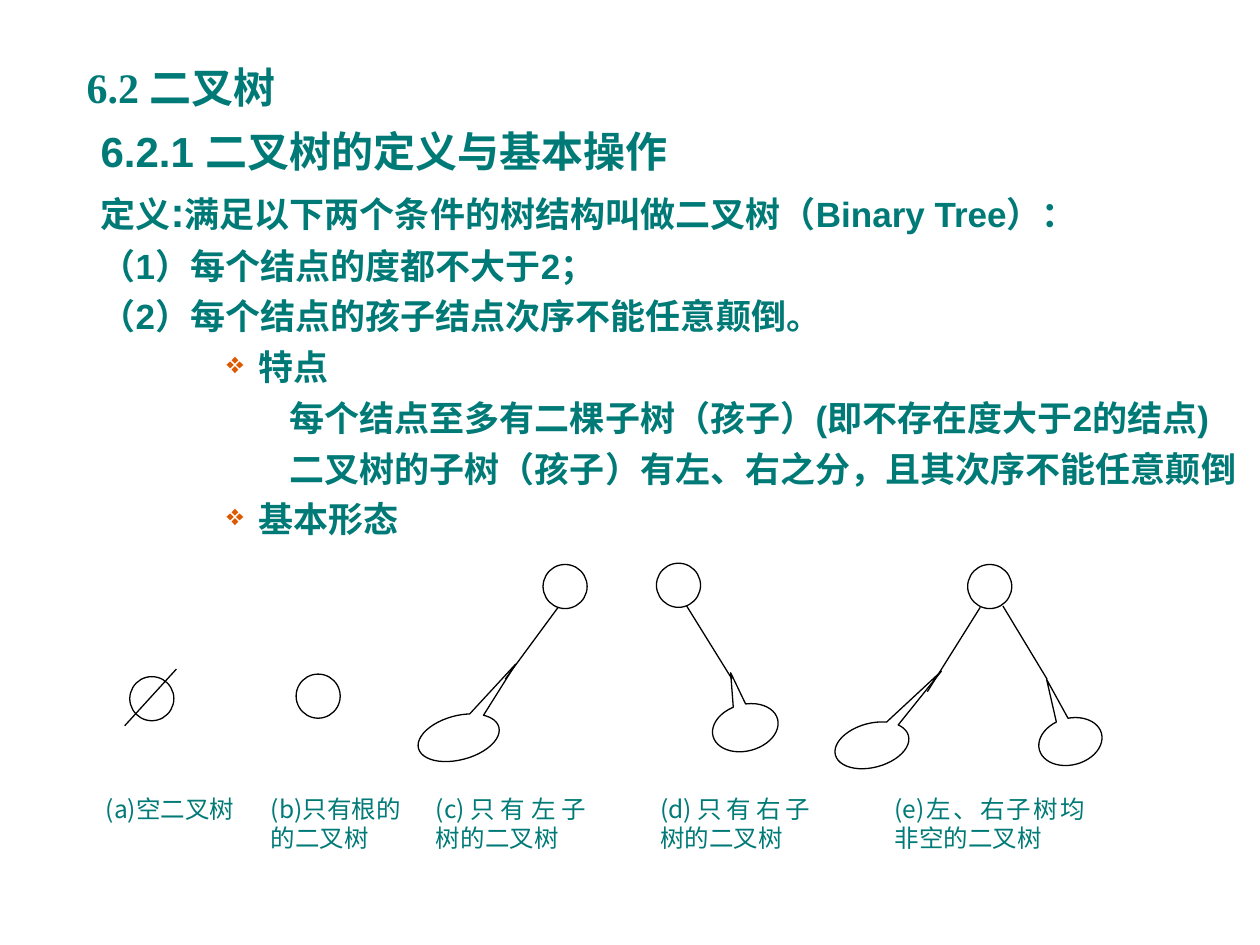
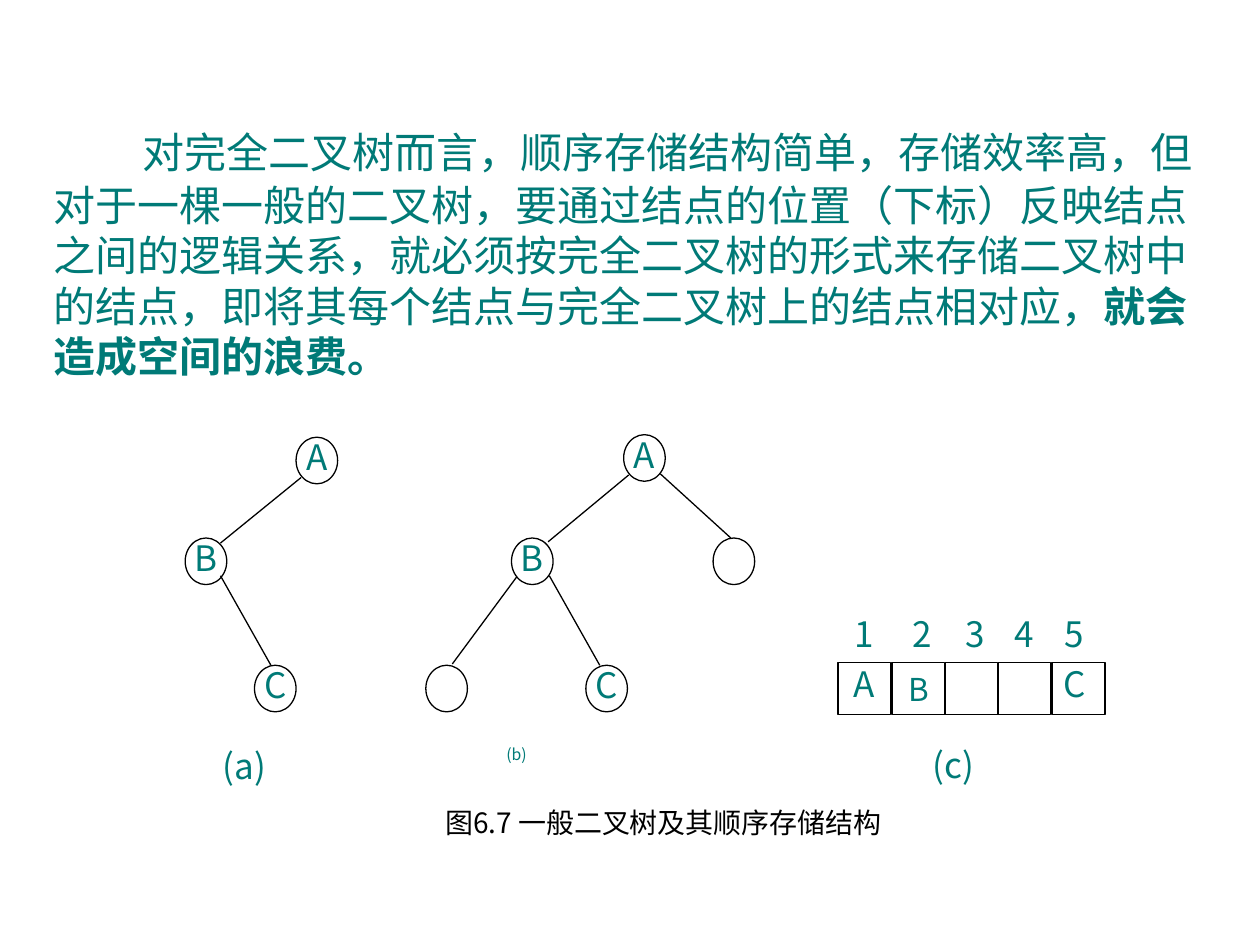
from lxml import etree
from pptx import Presentation
from pptx import util as u
from pptx.dml.color import RGBColor
from pptx.enum import shapes, text
from pptx.oxml.ns import qn

SCALE = 9144
HEX = {"teal": "007A77", "rust": "DC5900", "ink": "000000", "paper": "FFFFFF"}
SANS, CJK, SERIF = "Arial", "Noto Sans CJK SC", "Times New Roman"
KIND = shapes.MSO_SHAPE
ALIGN = text.PP_ALIGN


def px(num):
    """Turn px, 100 to the inch, into EMU."""
    return u.Emu(num * SCALE)


def tint(name):
    """Return the colour of that name."""
    return RGBColor.from_string(HEX[name])


def write(para, words, size, font=CJK, bold=False, hue="teal"):
    """Add one run to a paragraph."""
    run = para.add_run()
    run.text = words
    run.font.size = u.Pt(size)
    run.font.name = font
    run.font.bold = bold
    run.font.color.rgb = tint(hue)
    etree.SubElement(run._r.get_or_add_rPr(), qn("a:ea"), typeface=CJK)


def dent(para, left=0, first=0, mark=None, tab=None):
    """Set the indents, bullet and tab stop of a paragraph."""
    props = para._p.get_or_add_pPr()
    props.set("marL", str(px(left)))
    props.set("indent", str(px(first)))
    if mark:
        hue = etree.SubElement(props, qn("a:buClr"))
        etree.SubElement(hue, qn("a:srgbClr"), val=HEX["rust"])
        etree.SubElement(props, qn("a:buSzPct"), val="85000")
        etree.SubElement(props, qn("a:buChar"), char=mark)
    else:
        etree.SubElement(props, qn("a:buNone"))
    if tab:
        stops = etree.SubElement(props, qn("a:tabLst"))
        etree.SubElement(stops, qn("a:tab"), pos=str(px(tab)), algn="l")


def box(slide, area, wrap=True):
    """Add a text box and return its frame."""
    frame = slide.shapes.add_textbox(*map(px, area)).text_frame
    frame.word_wrap = wrap
    return frame


def shape(slide, kind, area, edge="ink", width=0.75):
    """Add a white shape with a thin edge."""
    item = slide.shapes.add_shape(kind, *map(px, area))
    item.shadow.inherit = False
    item.fill.solid()
    item.fill.fore_color.rgb = tint("paper")
    item.line.color.rgb = tint(edge)
    item.line.width = u.Pt(width)
    return item


def label(item, lines, size, align=ALIGN.CENTER, space=None, hue="teal"):
    """Write lines from the top of a shape, without margins."""
    frame = item.text_frame
    frame.word_wrap = True
    frame.vertical_anchor = text.MSO_ANCHOR.TOP
    frame.margin_left = frame.margin_right = 0
    frame.margin_top = frame.margin_bottom = 0
    for num, words in enumerate(lines):
        para = frame.add_paragraph() if num else frame.paragraphs[0]
        para.alignment = align
        para.line_spacing = space
        write(para, words, size, hue=hue)


def note(slide, area, lines, size, align=ALIGN.JUSTIFY, hue="teal"):
    """Add a caption on a plain white block."""
    label(shape(slide, KIND.RECTANGLE, area, "paper", 1), lines, size, align, hue=hue)


def link(slide, ends):
    """Draw a thin straight line."""
    line = slide.shapes.add_connector(shapes.MSO_CONNECTOR.STRAIGHT, *map(px, ends))
    line.line.color.rgb = tint("ink")
    line.line.width = u.Pt(0.75)
    etree.SubElement(line._element.spPr, qn("a:effectLst"))


def bubble(slide, area, tip):
    """Draw a subtree as a turned oval callout."""
    item = shape(slide, KIND.OVAL_CALLOUT, area)
    item.rotation = 165.1
    item.adjustments[0], item.adjustments[1] = tip


def node(slide, left, top, name=""):
    """Draw a tree node, with its letter if it has one."""
    item = shape(slide, KIND.OVAL, (left, top, 33, 37))
    if name:
        label(item, [name], 20, space=0.8)


def define(slide):
    """Write the headings, definition and traits of binary trees."""
    para = box(slide, (59, 44, 867, 50)).paragraphs[0]
    dent(para, tab=66)
    write(para, "6.2\t二叉树", 24, SERIF, True)

    frame = box(slide, (70, 95, 930, 391))
    plain, point, detail = (38, -38), (125, -25, "❖"), (175, -25)
    rows = [
        (plain, [("6.2.1 二叉树的定义与基本操作", 24)]),
        (plain, [("定义", 20), (":", 24),
                 ("满足以下两个条件的树结构叫做二叉树（Binary Tree）：", 20)]),
        (plain, [("（1）每个结点的度都不大于2；", 20)]),
        (plain, [("（2）每个结点的孩子结点次序不能任意颠倒。", 20)]),
        (point, [("特点", 20)]),
        (detail, [("每个结点至多有二棵子树（孩子）(即不存在度大于2的结点)", 20)]),
        (detail, [("二叉树的子树（孩子）有左、右之分，且其次序不能任意颠倒", 20)]),
        (point, [("基本形态", 20)]),
    ]
    for num, (style, runs) in enumerate(rows):
        para = frame.add_paragraph() if num else frame.paragraphs[0]
        if num:
            para.space_before = u.Pt(5)
        dent(para, *style)
        for words, size in runs:
            write(para, words, size, SANS, True)


def forms(slide):
    """Draw the five basic forms of a binary tree."""
    for left, top in ((103, 537), (235, 535), (431, 448), (521, 447), (768, 448)):
        shape(slide, KIND.OVAL, (left, top, 35, 35))
    for area, tip in (
        ((331, 568, 66, 35), (-0.89, 1.28)),
        ((662, 574, 60, 35), (-1.14, 1.22)),
        ((565, 559, 53, 37), (0, 1.22)),
        ((824, 570, 51, 37), (0.11, 1.42)),
    ):
        bubble(slide, area, tip)
    for ends in (
        (140, 531, 99, 576), (443, 482, 401, 539), (778, 482, 736, 549),
        (545, 481, 581, 539), (796, 481, 831, 539),
    ):
        link(slide, ends)
    for left, width, lines in (
        (84, 119, ["(a)空二叉树"]),
        (215, 119, ["(b)只有根的", "的二叉树"]),
        (346, 119, ["(c)只有左子树的二叉树"]),
        (524, 119, ["(d)只有右子树的二叉树"]),
        (710, 151, ["(e)左、右子树均非空的二叉树"]),
    ):
        note(slide, (left, 630, width, 71), lines, 14)


def explain(slide):
    """Write why a general tree wastes room in sequential storage."""
    para = box(slide, (33, 84, 934, 583)).paragraphs[0]
    dent(para, first=60)
    write(para, " ", 32, SANS)
    write(para, "对完全二叉树而言，顺序存储结构简单，存储效率高，但对于一棵一般的二叉树，"
          "要通过结点的位置（下标）反映结点之间的逻辑关系，就必须按完全二叉树的形式来"
          "存储二叉树中的结点，即将其每个结点与完全二叉树上的结点相对应，", 24, SANS)
    write(para, "就会造成空间的浪费。", 24, SANS, True)


def trees(slide):
    """Draw the general tree and its completed form."""
    for spot in (
        (235, 347, "A"), (147, 427, "B"), (202, 528, "C"),
        (495, 345, "A"), (406, 427, "B"), (465, 528, "C"),
        (566, 427), (338, 528),
    ):
        node(slide, *spot)
    for ends in (
        (239, 379, 175, 431), (175, 457, 215, 528),
        (499, 377, 435, 430), (436, 457, 476, 528),
        (524, 376, 580, 427), (410, 458, 359, 527),
    ):
        link(slide, ends)


def store(slide):
    """Draw the numbered storage cells."""
    left, top, side = 665, 486, 41
    pitch = 85 / 2
    for num, (index, name) in enumerate(zip(("1", " 2", " 3", "4", "5 "),
                                            ("A", "", "", "", "C "))):
        spot = round(left + num * pitch)
        label(shape(slide, KIND.RECTANGLE, (spot, top, 42, side), "paper"), [index], 20)
        cell = shape(slide, KIND.RECTANGLE, (spot, top + 40, 42, side))
        if name:
            label(cell, [name], 20)
    write(box(slide, (711, 527, 36, 40), False).paragraphs[0], "B", 18)


def main():
    """Build and save both slides."""
    deck = Presentation()
    deck.slide_width, deck.slide_height = px(1000), px(750)
    first, second = (deck.slides.add_slide(deck.slide_layouts[6]) for _ in range(2))
    define(first)
    forms(first)
    explain(second)
    trees(second)
    store(second)
    note(second, (177, 591, 37, 49), ["(a)"], 20)
    note(second, (399, 591, 49, 49), [" (b)"], 9)
    note(second, (734, 590, 49, 49), [" (c)"], 20)
    note(second, (336, 639, 381, 49), ["图6.7 一般二叉树及其顺序存储结构"], 16,
         ALIGN.CENTER, "ink")
    deck.save("out.pptx")


if __name__ == "__main__":
    main()
